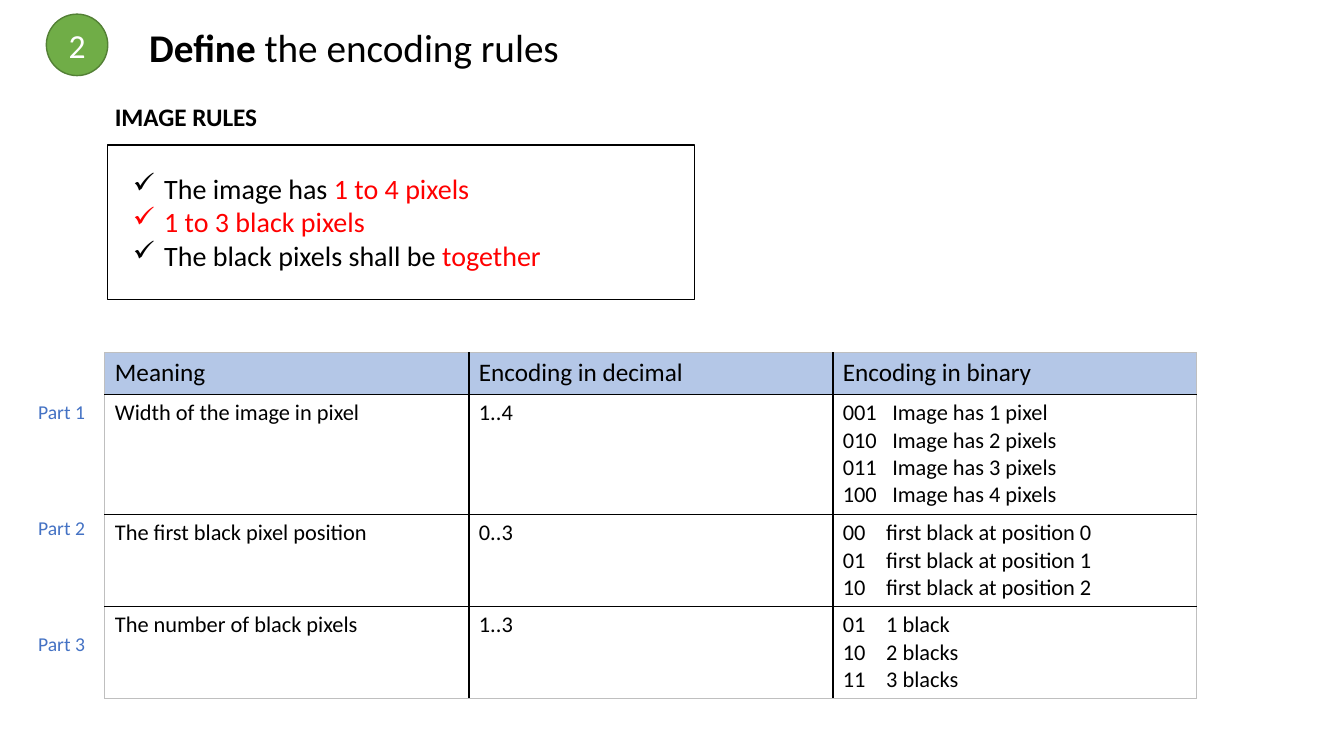
from dataclasses import dataclass

from lxml.etree import SubElement
from pptx import Presentation
from pptx.dml.color import RGBColor
from pptx.enum.shapes import MSO_SHAPE
from pptx.enum.text import MSO_ANCHOR, MSO_AUTO_SIZE, PP_ALIGN
from pptx.oxml import parse_xml
from pptx.oxml.ns import nsdecls, qn
from pptx.util import Inches, Pt

COLORS = {
    "ink": "000000", "accent": "FF0000", "label": "4472C4", "white": "FFFFFF",
    "badge": "70AD47", "badge_edge": "538035", "header": "B4C7E7", "edge": "BFBFBF",
}
FONT = "Calibri"
RULES = [
    [("The image has ", "ink"), ("1 to 4 pixels", "accent")],
    [("1 to 3 black pixels", "accent")],
    [("The black pixels shall be ", "ink"), ("together", "accent")],
]
HEADINGS = ["Meaning", "Encoding in decimal", "Encoding in binary"]
# Meaning, decimal range, binary codes with their sense, tab stop in inches
ENCODINGS = [
    ("Width of the image in pixel", "1..4",
     [("001", "Image has 1 pixel"), ("010", "Image has 2 pixels"),
      ("011", "Image has 3 pixels"), ("100", "Image has 4 pixels")], 0.49),
    ("The first black pixel position", "0..3",
     [("00", "first black at position 0"), ("01", "first black at position 1"),
      ("10", "first black at position 2")], 0.43),
    ("The number of black pixels", "1..3",
     [("01", "1 black"), ("10", "2 blacks"), ("11", "3 blacks")], 0.43),
]
ROW_SHARES = [12, 34.7, 26.65, 26.65]


@dataclass
class Box:
    left: float
    top: float
    width: float
    height: float

    def inner(self, left, top, width, height):
        """Inner box, given in percent of this one."""
        return Box(self.left + self.width * left / 100,
                   self.top + self.height * top / 100,
                   self.width * width / 100, self.height * height / 100)

    def lengths(self):
        return [Inches(v) for v in (self.left, self.top, self.width, self.height)]


def color(name):
    return RGBColor.from_string(COLORS[name])


def add_run(paragraph, text, size, tint="ink", bold=False):
    run = paragraph.add_run()
    run.text = text
    run.font.name = FONT
    run.font.size = Pt(size)
    run.font.bold = bold
    run.font.color.rgb = color(tint)


def add_text_frame(slide, box):
    frame = slide.shapes.add_textbox(*box.lengths()).text_frame
    frame.word_wrap = False
    frame.auto_size = MSO_AUTO_SIZE.SHAPE_TO_FIT_TEXT
    return frame


def add_outlined(slide, preset, box, edge, fill=None):
    shape = slide.shapes.add_shape(preset, *box.lengths())
    shape.shadow.inherit = False
    if fill:
        shape.fill.solid()
        shape.fill.fore_color.rgb = color(fill)
    else:
        shape.fill.background()
    shape.line.color.rgb = color(edge)
    shape.line.width = Pt(1)
    return shape


def set_check_bullet(paragraph, tint):
    properties = paragraph._p.get_or_add_pPr()
    indent = Inches(0.31)
    properties.set("marL", str(indent))
    properties.set("indent", str(-indent))
    bullet_color = SubElement(properties, qn("a:buClr"))
    SubElement(bullet_color, qn("a:srgbClr"), val=COLORS[tint])
    SubElement(properties, qn("a:buChar"), char="✓")


def set_tab_stop(paragraph, inches):
    stops = SubElement(paragraph._p.get_or_add_pPr(), qn("a:tabLst"))
    SubElement(stops, qn("a:tab"), pos=str(Inches(inches)), algn="l")


def set_borders(cell, row, column, last_row, last_column):
    """Grey around the table, black between its cells."""
    sides = [("L", column == 0, 1.5), ("R", column == last_column, 1.5),
             ("T", row == 0, 1), ("B", row == last_row, 1)]
    properties = cell._tc.get_or_add_tcPr()
    for place, (side, outer, inner_width) in enumerate(sides):
        tint = COLORS["edge" if outer else "ink"]
        width = Pt(1 if outer else inner_width)
        properties.insert(place, parse_xml(
            f'<a:ln{side} {nsdecls("a")} w="{width}"><a:solidFill>'
            f'<a:srgbClr val="{tint}"/></a:solidFill></a:ln{side}>'))


def add_header(slide, box):
    badge = add_outlined(slide, MSO_SHAPE.OVAL, box.inner(0, 0, 11.25, 100),
                         "badge_edge", "badge")
    badge.text_frame.vertical_anchor = MSO_ANCHOR.MIDDLE
    number = badge.text_frame.paragraphs[0]
    number.alignment = PP_ALIGN.CENTER
    add_run(number, "2", 24, "white")

    title = slide.shapes.title
    (title.left, title.top,
     title.width, title.height) = box.inner(16.97, 6.56, 83.03, 93.44).lengths()
    frame = title.text_frame
    frame.word_wrap = True
    frame.auto_size = MSO_AUTO_SIZE.NONE
    frame.vertical_anchor = MSO_ANCHOR.TOP
    heading = frame.paragraphs[0]
    heading.alignment = PP_ALIGN.LEFT
    add_run(heading, "Define", 28, bold=True)
    add_run(heading, " the encoding rules", 28)


def add_image_rules(slide, box):
    add_outlined(slide, MSO_SHAPE.RECTANGLE, box.inner(0.5, 23.88, 99.5, 76.12), "ink")
    heading = add_text_frame(slide, box.inner(0, 0, 27.86, 19.9))
    add_run(heading.paragraphs[0], "IMAGE RULES", 18, bold=True)
    checklist = add_text_frame(slide, box.inner(3.08, 34.33, 74.36, 55.22))
    for index, rule in enumerate(RULES):
        paragraph = checklist.add_paragraph() if index else checklist.paragraphs[0]
        set_check_bullet(paragraph, rule[0][1])
        for text, tint in rule:
            add_run(paragraph, text, 20, tint)


def add_encodings(slide, box):
    table_box = box.inner(6.56, 0, 93.44, 100)
    rows = [(*HEADINGS, None)] + [
        (meaning, decimal, "\n".join("\t".join(code) for code in codes), stop)
        for meaning, decimal, codes, stop in ENCODINGS]
    table = slide.shapes.add_table(len(rows), len(HEADINGS), *table_box.lengths()).table
    for column in table.columns:
        column.width = Inches(table_box.width / len(HEADINGS))
    for r, (*texts, stop) in enumerate(rows):
        table.rows[r].height = Inches(table_box.height * ROW_SHARES[r] / 100)
        for c, text in enumerate(texts):
            cell = table.cell(r, c)
            cell.fill.solid()
            cell.fill.fore_color.rgb = color("white" if r else "header")
            set_borders(cell, r, c, len(rows) - 1, len(HEADINGS) - 1)
            frame = cell.text_frame
            for index, line in enumerate(text.split("\n")):
                paragraph = frame.add_paragraph() if index else frame.paragraphs[0]
                if "\t" in line:
                    set_tab_stop(paragraph, stop)
                add_run(paragraph, line, 16 if r else 18)

    for index in range(len(ENCODINGS)):
        label = add_text_frame(slide, box.inner(0, 12.24 + 33.53 * index, 5.78, 9.91))
        add_run(label.paragraphs[0], f"Part {index + 1}", 14, "label")


def main():
    deck = Presentation()
    deck.slide_width, deck.slide_height = Inches(13.33), Inches(7.5)
    slide = deck.slides.add_slide(deck.slide_layouts[5])
    page = Box(0, 0, 13.33, 7.5)
    add_header(slide, page.inner(3.45, 1.87, 40.65, 8.13))
    add_image_rules(slide, page.inner(7.8, 12.8, 43.88, 26.8))
    add_encodings(slide, page.inner(2.1, 46.67, 86.95, 45.74))
    deck.save("out.pptx")


if __name__ == "__main__":
    main()
